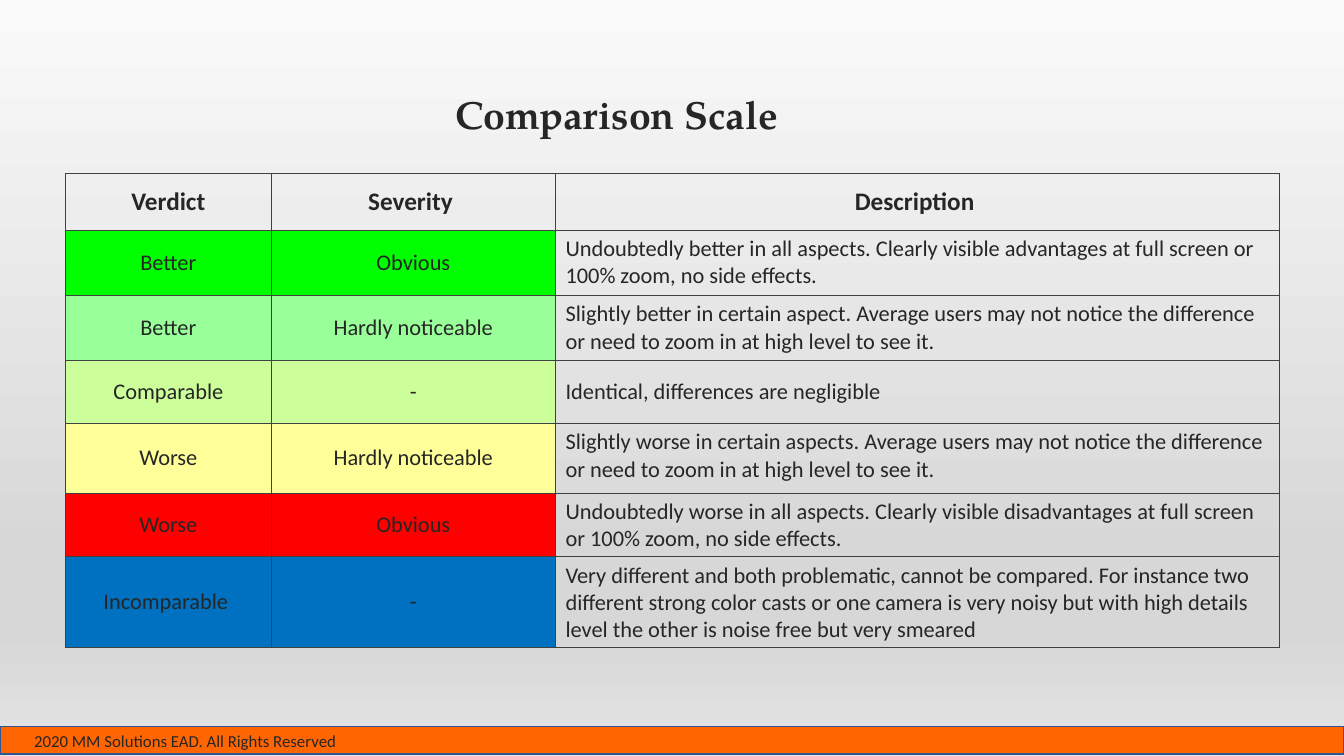
"""Build the Comparison Scale slide with its verdict table."""
from copy import deepcopy
from pptx import Presentation
from pptx.dml.color import RGBColor
from pptx.enum.shapes import MSO_SHAPE as Shape
from pptx.enum.text import MSO_ANCHOR as Anchor, PP_ALIGN as Align
from pptx.oxml import parse_xml
from pptx.oxml.ns import nsdecls, qn
from pptx.util import Inches, Pt

INK = RGBColor(0x26, 0x26, 0x26)
ORANGE = RGBColor(0xFF, 0x65, 0x01)
NAVY = RGBColor(0x32, 0x54, 0x91)
GREEN = RGBColor(0x00, 0xFF, 0x00)
LIGHT_GREEN = RGBColor(0x99, 0xFF, 0x99)
LIME = RGBColor(0xCC, 0xFF, 0x99)
YELLOW = RGBColor(0xFF, 0xFF, 0x99)
RED = RGBColor(0xFF, 0x00, 0x00)
BLUE = RGBColor(0x00, 0x70, 0xC0)
BACKDROP = [
    (0, RGBColor(0xFA, 0xFA, 0xFA)),
    (0.74, RGBColor(0xD7, 0xD7, 0xD7)),
    (0.83, RGBColor(0xD7, 0xD7, 0xD7)),
    (1, RGBColor(0xE4, 0xE4, 0xE4)),
]
BORDER = (
    '<a:{side} {ns} w="6350"><a:solidFill><a:srgbClr val="404040"/>'
    "</a:solidFill></a:{side}>"
)
COLUMNS = [2.04, 2.82, 7.18]
ROWS = [
    (0.56, None, "Verdict", "Severity ", "Description "),
    (0.65, GREEN, "Better", "Obvious",
     "Undoubtedly better in all aspects. Clearly visible advantages at full "
     "screen or 100% zoom, no side effects."),
    (0.64, LIGHT_GREEN, "Better", "Hardly noticeable",
     "Slightly better in certain aspect. Average users may not notice the "
     "difference or need to zoom in at high level to see it."),
    (0.63, LIME, "Comparable", "-", "Identical, differences are negligible"),
    (0.69, YELLOW, "Worse", "Hardly noticeable",
     "Slightly worse in certain aspects. Average users may not notice the "
     "difference or need to zoom in at high level to see it."),
    (0.61, RED, "Worse", "Obvious",
     "Undoubtedly worse in all aspects. Clearly visible disadvantages at full "
     "screen or 100% zoom, no side effects."),
    (0.87, BLUE, "Incomparable ", "-",
     "Very different and both problematic, cannot be compared. For instance "
     "two different strong color casts or one camera is very noisy but with "
     "high details level the other is noise free but very smeared"),
]


def write(frame, text, align, size, bold=False, name="Calibri"):
    """Put one formatted paragraph in a text frame and return it."""
    frame.word_wrap = True
    para = frame.paragraphs[0]
    para.alignment = align
    span = para.add_run()
    span.text = text
    span.font.color.rgb = INK
    for key, value in {"size": Pt(size), "bold": bold, "name": name}.items():
        setattr(span.font, key, value)
    return para


deck = Presentation()
deck.slide_width, deck.slide_height = Inches(13.33), Inches(7.5)
page = deck.slides.add_slide(deck.slide_layouts[6])

backdrop = page.background.fill
backdrop.gradient()
backdrop.gradient_angle = 270
stop_list = next(page.element.iter(qn("a:gsLst")))
for extra in list(stop_list):
    stop_list.append(deepcopy(extra))
for stop, (position, color) in zip(backdrop.gradient_stops, BACKDROP):
    stop.position = position
    stop.color.rgb = color

footer = page.shapes.add_shape(
    Shape.RECTANGLE, 0, Inches(7.21), deck.slide_width, Inches(0.27))
footer.shadow.inherit = False
footer.fill.solid()
footer.fill.fore_color.rgb = ORANGE
footer.line.color.rgb = NAVY
footer.line.width = Pt(1)

rights = page.shapes.add_textbox(
    Inches(0.24), Inches(7.2), Inches(3.24), Inches(0.3))
write(rights.text_frame, "2020 MM Solutions EAD. All Rights Reserved",
      Align.LEFT, 12)

table = page.shapes.add_table(
    len(ROWS), len(COLUMNS), Inches(0.65), Inches(1.72),
    Inches(sum(COLUMNS)), Inches(sum(row[0] for row in ROWS))).table
table.first_row = table.horz_banding = False
for column, width in zip(table.columns, COLUMNS):
    column.width = Inches(width)
for row_index, (height, color, *texts) in enumerate(ROWS):
    table.rows[row_index].height = Inches(height)
    header = row_index == 0
    for column_index, text in enumerate(texts):
        cell = table.cell(row_index, column_index)
        described = column_index == 2 and not header
        top = described and color != LIME
        cell.vertical_anchor = Anchor.TOP if top else Anchor.MIDDLE
        write(cell.text_frame, text, Align.LEFT if described else Align.CENTER,
              18 if header else 16, header)
        properties = cell._tc.get_or_add_tcPr()
        for side in ("lnL", "lnR", "lnT", "lnB"):
            properties.append(
                parse_xml(BORDER.format(side=side, ns=nsdecls("a"))))
        if header or described:
            cell.fill.background()
        else:
            cell.fill.solid()
            cell.fill.fore_color.rgb = color

title = page.shapes.add_textbox(
    Inches(2.5), Inches(0.61), Inches(7.33), Inches(0.66))
heading = write(title.text_frame, "Comparison Scale ", Align.CENTER, 28, True,
                "TeX Gyre Pagella")
heading.line_spacing = 1.5

deck.save("out.pptx")
